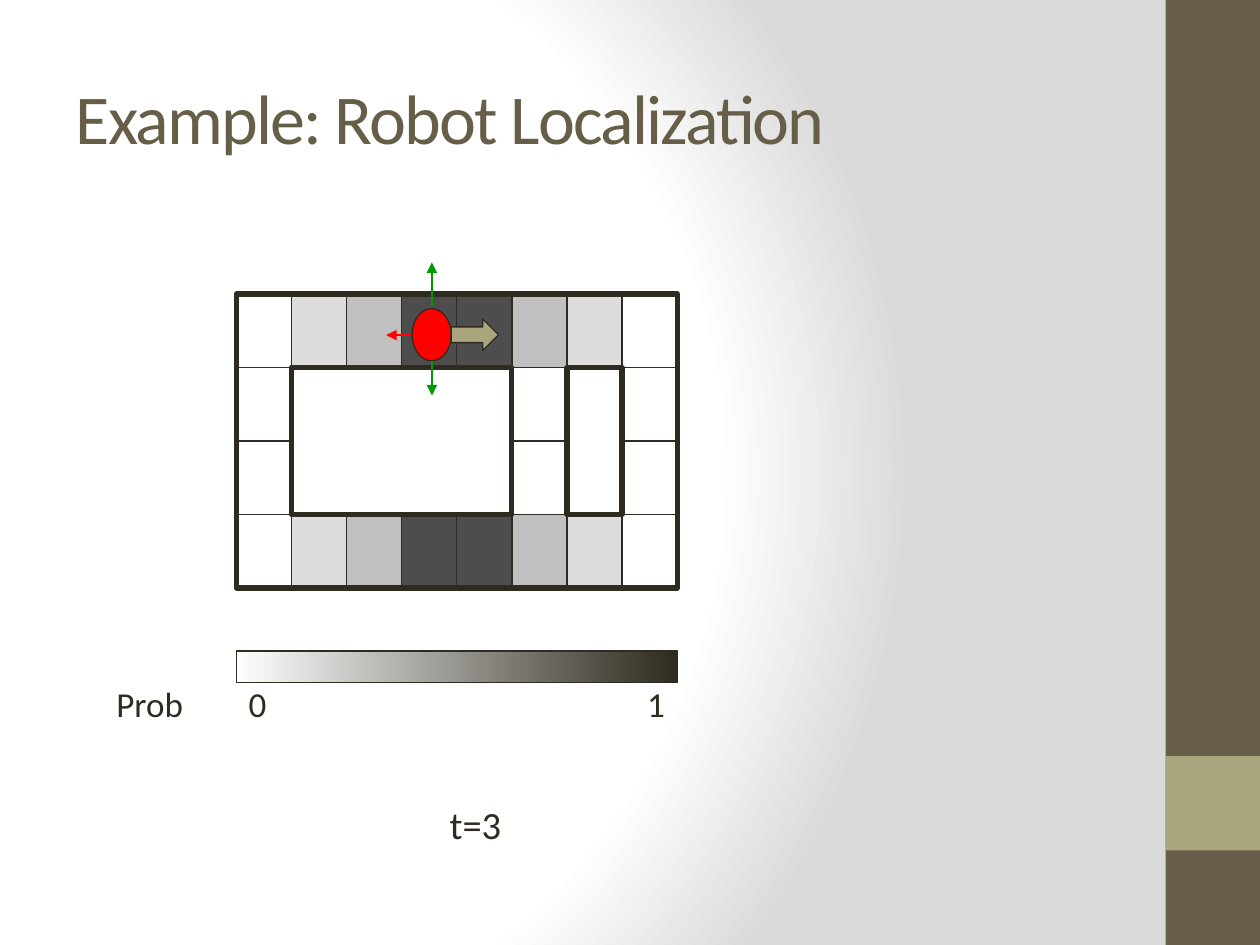
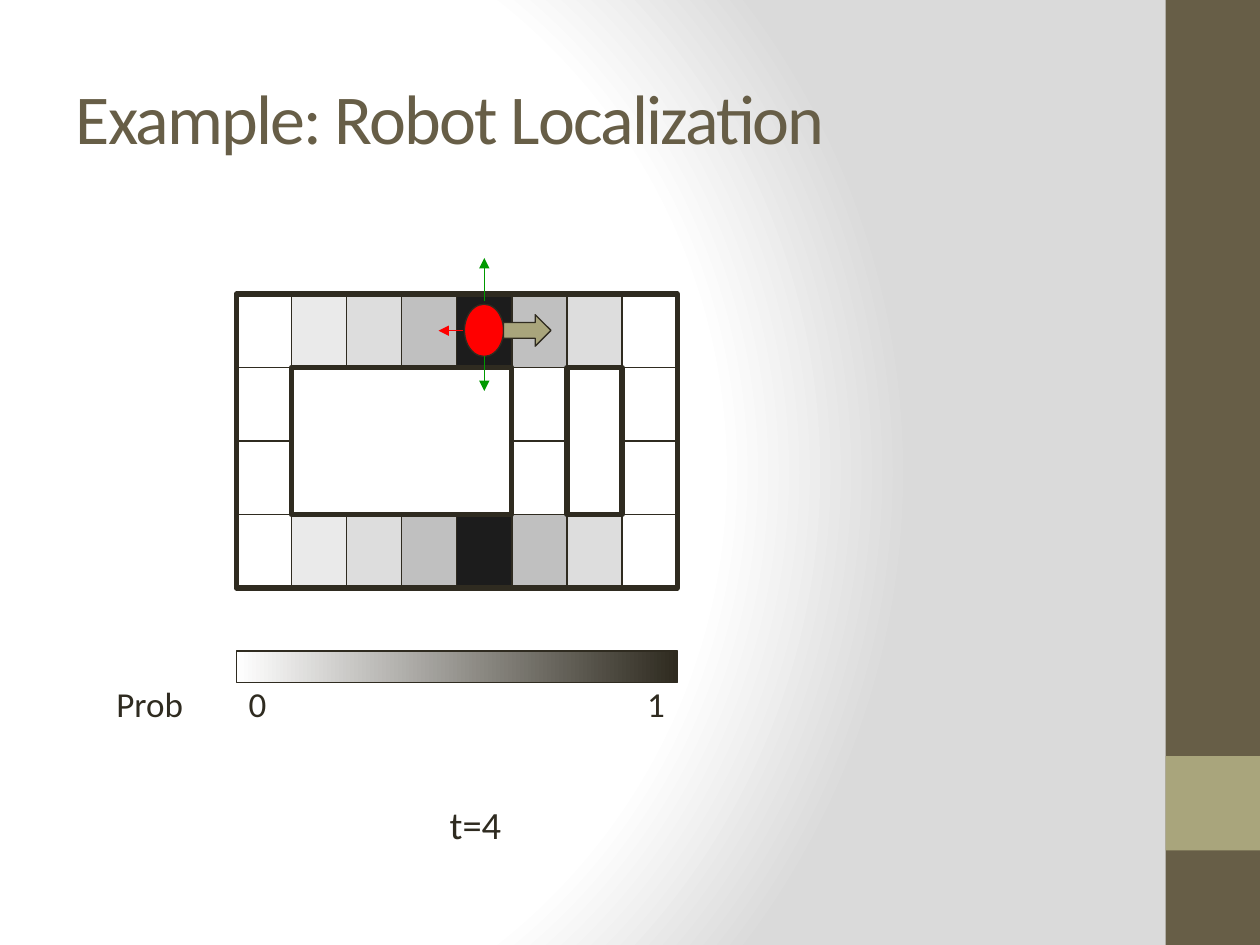
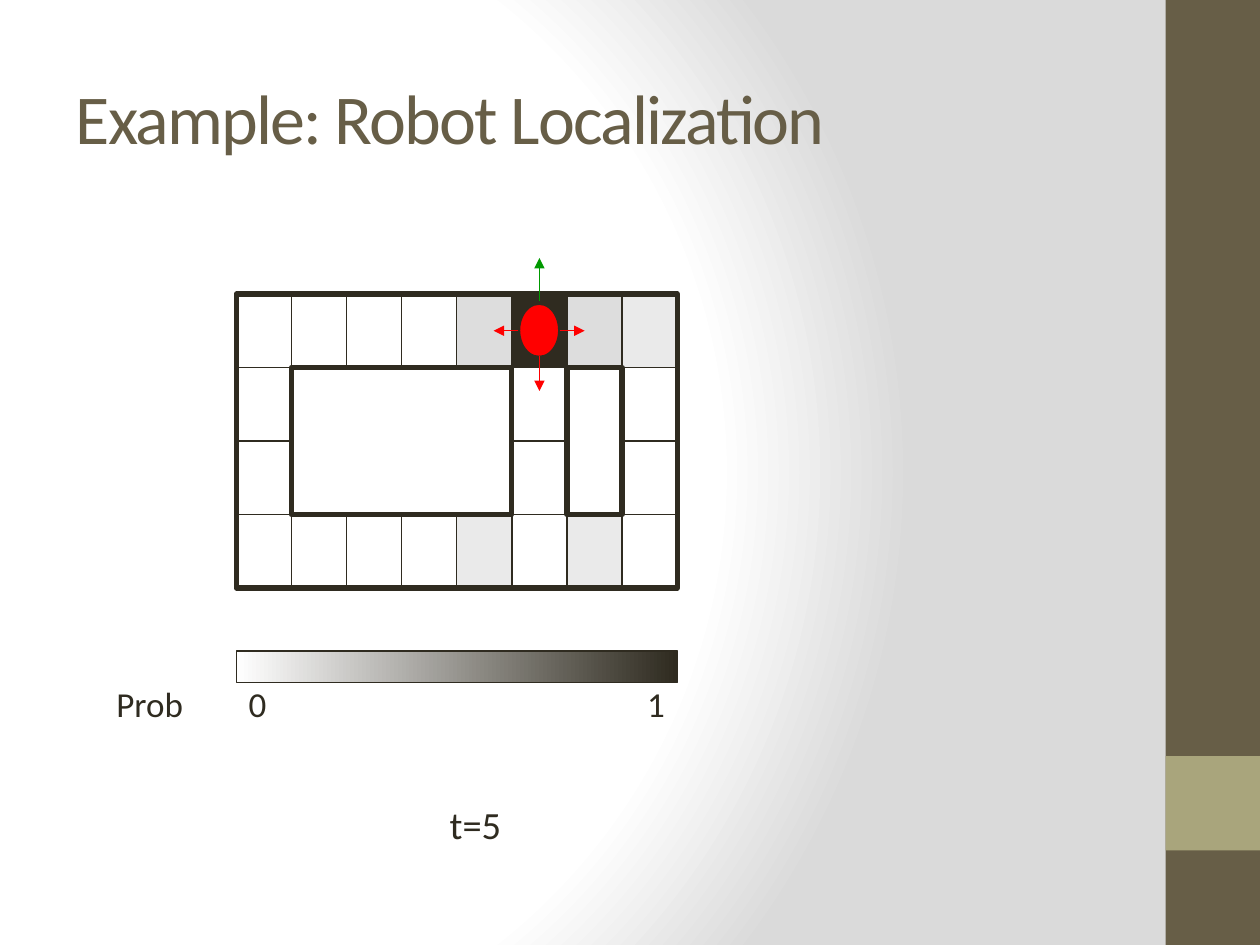
import dataclasses

import lxml.etree
import pptx
import pptx.dml.color
import pptx.enum.shapes
import pptx.enum.text
import pptx.oxml.ns
import pptx.util

SHAPE = pptx.enum.shapes.MSO_SHAPE
ALIGN = pptx.enum.text.PP_ALIGN
MIDDLE = pptx.enum.text.MSO_ANCHOR.MIDDLE
qn = pptx.oxml.ns.qn


@dataclasses.dataclass(frozen=True)
class Theme:
    font: str = "Calibri"
    ink: str = "2F2B20"
    olive: str = "675E47"
    sage: str = "A9A57C"
    white: str = "FFFFFF"
    mist: str = "DADADA"
    red: str = "FF0000"
    green: str = "009900"
    title_size: int = 40
    time_size: int = 22
    label_size: int = 20
    thin: float = 0.75
    thick: float = 3


@dataclasses.dataclass(frozen=True)
class Box:
    left: float
    top: float
    width: float
    height: float

    def area(self, x, y, width, height, columns=1, rows=1):
        column, row = self.width / columns, self.height / rows
        return Box(self.left + x * column, self.top + y * row, width * column, height * row)

    def emu(self):
        return [round(v) for v in (self.left, self.top, self.width, self.height)]


THEME = Theme()
PAGE = Box(0, 0, pptx.util.Inches(10), pptx.util.Inches(7.5))
PAGE_GRID = 80, 90
BOARD_GRID = 8, 4

TITLE = "Example: Robot Localization"
SHADES = {".": None, "1": "EAEAEA", "2": "DDDDDD", "3": "C0C0C0",
          "4": "4D4D4D", "5": "1C1C1C", "6": THEME.ink}
CORRIDOR = ".####.#."
BOTH_SIDES = {"left": THEME.red, "up": THEME.green, "down": THEME.green}
STEPS = [
    dict(time="t=3", top_row=".234432.", bottom_row=".234432.",
         robot=(3.55, 0.56), readings=BOTH_SIDES, moving=True),
    dict(time="t=4", top_row=".123532.", bottom_row=".123532.",
         robot=(4.5, 0.5), readings=BOTH_SIDES, moving=True),
    dict(time="t=5", top_row="....2621", bottom_row="....1.1.",
         robot=(5.5, 0.5), moving=False,
         readings={"up": THEME.green, "down": THEME.red,
                   "right": THEME.red, "left": THEME.red}),
]
BEAMS = {"up": (0, -0.4, 0, -0.99), "down": (0, 0.35, 0, 0.82),
         "left": (-0.38, 0, -0.83, 0), "right": (0.37, 0, 0.82, 0)}


def on_page(x, y, width, height):
    return PAGE.area(x, y, width, height, *PAGE_GRID)


def rgb(color):
    return pptx.dml.color.RGBColor.from_string(color)


def find(shape, tag):
    return shape.element.find(".//" + qn(tag))


def draw(slide, kind, box, fill=None, line=THEME.ink, weight=THEME.thin):
    shape = slide.shapes.add_shape(kind, *box.emu())
    shape.shadow.inherit = False
    if fill:
        shape.fill.solid()
        shape.fill.fore_color.rgb = rgb(fill)
    else:
        shape.fill.background()
    if line:
        shape.line.color.rgb = rgb(line)
        shape.line.width = pptx.util.Pt(weight)
    else:
        shape.line.fill.background()
    return shape


def write(shape, text, size, color, align):
    shape.text_frame.text = text
    paragraph = shape.text_frame.paragraphs[0]
    paragraph.alignment = align
    paragraph.font.name = THEME.font
    paragraph.font.size = pptx.util.Pt(size)
    paragraph.font.color.rgb = rgb(color)


def place(shape, box):
    shape.left, shape.top, shape.width, shape.height = box.emu()


def set_background(master):
    master.background.fill.gradient()
    gradient = find(master, "p:bgPr").find(qn("a:gradFill"))
    for child in list(gradient):
        gradient.remove(child)
    stops = lxml.etree.SubElement(gradient, qn("a:gsLst"))
    for share, color in ((0, THEME.white), (75, THEME.white), (100, THEME.mist)):
        stop = lxml.etree.SubElement(stops, qn("a:gs"), pos=str(share * 1000))
        lxml.etree.SubElement(stop, qn("a:srgbClr"), val=color)
    circle = lxml.etree.SubElement(gradient, qn("a:path"), {"path": "circle"})
    lxml.etree.SubElement(circle, qn("a:fillToRect"),
                          l="20000", t="50000", r="100000", b="50000")


def move_bands_to_master(slide, master):
    side = on_page(74, 0, 6, 90)
    bands = ((side, THEME.olive), (side.area(0, 0.8, 1, 0.1), THEME.sage))
    for order, (box, color) in enumerate(bands):
        band = draw(slide, SHAPE.RECTANGLE, box, color, None)
        find(band, "p:cNvPr").set("id", str(20 + order))
        master.shapes.element.insert(2 + order, band.element)


def add_heading(slide, box):
    heading = slide.shapes.title
    place(heading, box)
    heading.text_frame.vertical_anchor = MIDDLE
    write(heading, TITLE, THEME.title_size, THEME.olive, ALIGN.LEFT)
    find(heading, "a:defRPr").set("spc", "-100")


def add_time(slide, box, time):
    caption = slide.placeholders[1]
    place(caption, box)
    write(caption, time, THEME.time_size, THEME.ink, ALIGN.CENTER)
    properties = find(caption, "a:pPr")
    properties.set("marL", str(pptx.util.Inches(0.38)))
    properties.set("indent", str(pptx.util.Inches(-0.25)))
    properties.insert(0, lxml.etree.Element(qn("a:buNone")))


def add_board(slide, box, top_row, bottom_row):
    for row, codes in enumerate((top_row, CORRIDOR, CORRIDOR, bottom_row)):
        for column, code in enumerate(codes):
            if code != "#":
                draw(slide, SHAPE.RECTANGLE, box.area(column, row, 1, 1, *BOARD_GRID),
                     SHADES[code])
    walls = (((1, 1, 4, 2), THEME.white), ((0, 0, 8, 4), None), ((6, 1, 1, 2), None))
    for cells, fill in walls:
        draw(slide, SHAPE.RECTANGLE, box.area(*cells, *BOARD_GRID), fill, weight=THEME.thick)


def add_scale(slide, box):
    ramp = draw(slide, SHAPE.RECTANGLE, box)
    ramp.fill.gradient()
    ramp.fill.gradient_angle = 0
    for stop, color in zip(ramp.fill.gradient_stops, (THEME.white, THEME.ink)):
        stop.color.rgb = rgb(color)
    labels = (("1", (14, 3, 14, 4), ALIGN.RIGHT),
              ("0", (0, 3, 14, 4), ALIGN.LEFT),
              ("Prob", (-10, 3, 9, 4), ALIGN.CENTER))
    for text, cells, align in labels:
        label = slide.shapes.add_textbox(*box.area(*cells, 28, 3).emu())
        label.text_frame.word_wrap = False
        label.text_frame.vertical_anchor = MIDDLE
        write(label, text, THEME.label_size, THEME.ink, align)


def add_beam(slide, start, end, color):
    beam = slide.shapes.add_connector(pptx.enum.shapes.MSO_CONNECTOR.STRAIGHT,
                                      *start.emu()[:2], *end.emu()[:2])
    beam.line.color.rgb = rgb(color)
    beam.line.width = pptx.util.Pt(THEME.thin)
    lxml.etree.SubElement(find(beam, "a:ln"), qn("a:tailEnd"), type="triangle")
    lxml.etree.SubElement(find(beam, "p:spPr"), qn("a:effectLst"))


def add_robot(slide, board, position, readings, moving):
    cell = board.area(*position, 1, 1, *BOARD_GRID)
    draw(slide, SHAPE.OVAL, cell.area(-0.36, -0.36, 0.71, 0.71), THEME.red)
    for direction, color in readings.items():
        x1, y1, x2, y2 = BEAMS[direction]
        add_beam(slide, cell.area(x1, y1, 0, 0), cell.area(x2, y2, 0, 0), color)
    if moving:
        draw(slide, SHAPE.RIGHT_ARROW, cell.area(0.35, -0.22, 0.86, 0.43), THEME.sage)


def add_step(slide, step):
    board = on_page(15, 28, 28, 28)
    add_heading(slide, on_page(4, 3.6, 66.67, 15))
    add_time(slide, on_page(4.17, 75.7, 51, 12), step["time"])
    add_board(slide, board, step["top_row"], step["bottom_row"])
    add_scale(slide, on_page(15, 62, 28, 3))
    add_robot(slide, board, step["robot"], step["readings"], step["moving"])


def main():
    deck = pptx.Presentation()
    deck.slide_width, deck.slide_height = PAGE.width, PAGE.height
    set_background(deck.slide_master)
    slides = [deck.slides.add_slide(deck.slide_layouts[1]) for _ in STEPS]
    move_bands_to_master(slides[0], deck.slide_master)
    for slide, step in zip(slides, STEPS):
        add_step(slide, step)
    deck.save("out.pptx")


if __name__ == "__main__":
    main()
